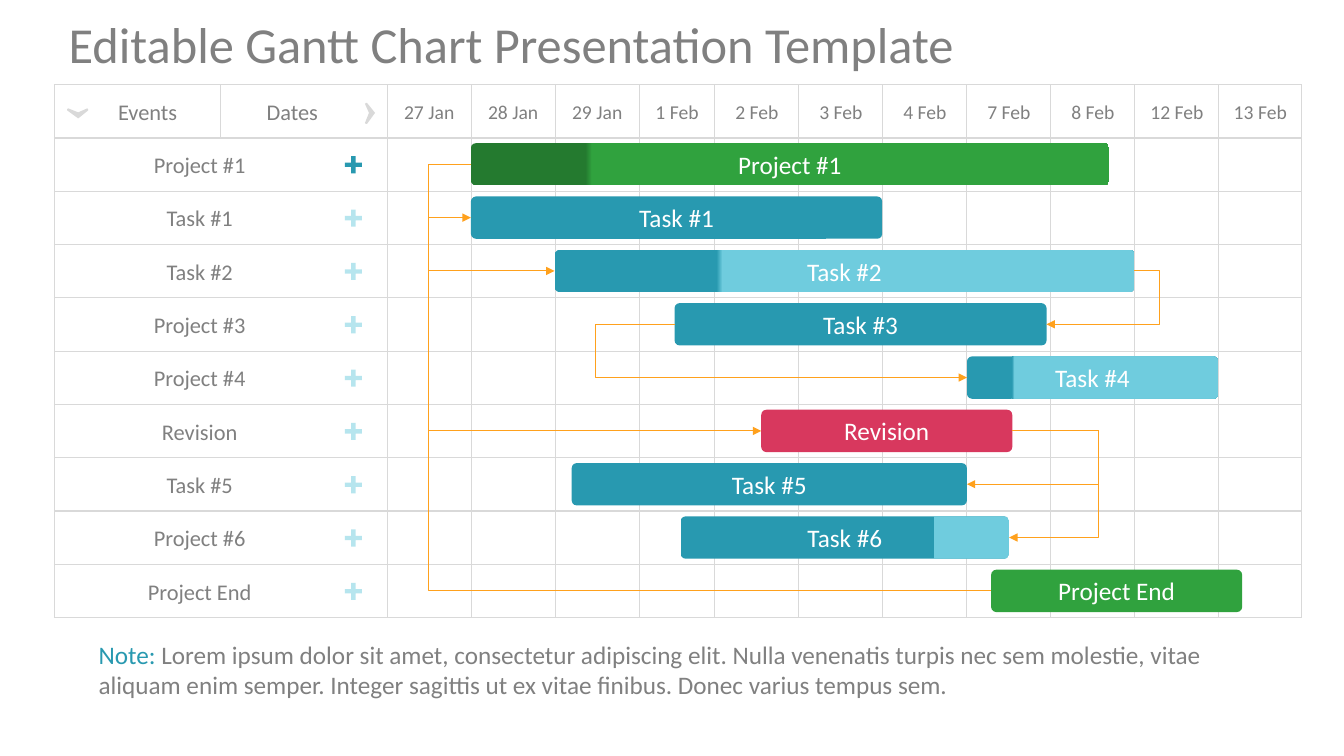
from dataclasses import dataclass
from typing import Optional

from lxml.etree import SubElement
from pptx import Presentation
from pptx.dml.color import RGBColor
from pptx.enum.shapes import MSO_CONNECTOR, MSO_SHAPE
from pptx.enum.text import MSO_ANCHOR, PP_ALIGN
from pptx.oxml.ns import qn
from pptx.util import Inches, Pt

FONT = "Calibri"
GRAY, GRID, WHITE = "808080", "D9D9D9", "FFFFFF"
TEAL, AQUA, GREEN, DARK_GREEN, RED, ORANGE = (
    "2899B0", "6FCCDE", "30A23E", "247A2F", "D8385E", "FFA11D")

TABLE_LEFT, TABLE_TOP, TABLE_HEIGHT = 0.54, 0.84, 5.29
ROW_HEIGHT = TABLE_HEIGHT / 10
DAY_WIDTH = 5 / 6
DATES = ["27 Jan", "28 Jan", "29 Jan", "1 Feb", "2 Feb", "3 Feb",
         "4 Feb", "7 Feb", "8 Feb", "12 Feb", "13 Feb"]
DATE_WIDTHS = [DAY_WIDTH] * 3 + [0.75] + [DAY_WIDTH] * 6 + [0.82]
COLUMN_WIDTHS = [1.65, 1.65] + DATE_WIDTHS
BAR_HEIGHT = 0.42
TRUNK_X = 4.25


@dataclass
class Event:
    name: str
    bar_label: str
    left: float
    width: float
    color: str
    rest_color: Optional[str] = None
    done: float = 1.0
    fade_end: float = 1.0


@dataclass
class Link:
    source: int
    target: int
    side: int  # 1 left, 3 right
    turn_x: float
    arrow: bool = True


EVENTS = [
    Event("Project #1", "Project #1", 4.67, 6.33, DARK_GREEN, GREEN, 0.18, 0.19),
    Event("Task #1", "Task #1", 4.67, 4.08, TEAL),
    Event("Task #2", "Task #2", 5.5, 5.75, TEAL, AQUA, 0.28, 0.29),
    Event("Project #3", "Task #3", 6.69, 3.69, TEAL),
    Event("Project #4", "Task #4", 9.59, 2.49, TEAL, AQUA, 0.18, 0.19),
    Event("Revision", "Revision", 7.55, 2.49, RED),
    Event("Task #5", "Task #5", 5.67, 3.92, TEAL),
    Event("Project #6", "Task #6", 6.75, 3.26, TEAL, AQUA, 0.77, 0.77),
    Event("Project End", "Project End", 9.83, 2.49, GREEN),
]
LINKS = [
    Link(0, 8, 1, TRUNK_X, arrow=False),
    Link(2, 3, 3, 11.5),
    Link(3, 4, 1, 5.91),
    Link(5, 6, 3, 10.9),
    Link(5, 7, 3, 10.9),
]
TRUNK_TARGETS = [1, 2, 5]
CHEVRON = [(10, 10.5), (2, 0), (1, 0), (0, 1), (4, 10.5), (0, 20), (1, 21), (2, 21)]


def rgb(color: str) -> RGBColor:
    return RGBColor.from_string(color)


def style_font(paragraph, size: float, color: Optional[str] = None) -> None:
    paragraph.font.name = FONT
    paragraph.font.size = Pt(size)
    if color:
        paragraph.font.color.rgb = rgb(color)


def paint(shape, color: str) -> None:
    shape.shadow.inherit = False
    shape.fill.solid()
    shape.fill.fore_color.rgb = rgb(color)
    shape.line.fill.background()


def add_text(slide, text: str, left: float, top: float, width: float,
             height: float, size: float, align=PP_ALIGN.CENTER):
    frame = slide.shapes.add_textbox(
        Inches(left), Inches(top), Inches(width), Inches(height)).text_frame
    frame.word_wrap = True
    paragraph = frame.paragraphs[0]
    paragraph.text = text
    paragraph.alignment = align
    style_font(paragraph, size, GRAY)
    return frame


def add_grid(slide) -> None:
    table = slide.shapes.add_table(
        10, len(COLUMN_WIDTHS), Inches(TABLE_LEFT), Inches(TABLE_TOP),
        Inches(sum(COLUMN_WIDTHS)), Inches(TABLE_HEIGHT)).table
    table.first_row = table.horz_banding = False
    for column, width in zip(table.columns, COLUMN_WIDTHS):
        column.width = Inches(width)
    for row_index, row in enumerate(table.rows):
        row.height = Inches(ROW_HEIGHT)
        for cell in row.cells:
            properties = cell._tc.get_or_add_tcPr()
            for side in ("lnL", "lnR", "lnT", "lnB"):
                border = SubElement(properties, qn(f"a:{side}"), w=str(Pt(1)))
                SubElement(SubElement(border, qn("a:solidFill")), qn("a:srgbClr"), val=GRID)
            cell.fill.background()
        if row_index:
            table.cell(row_index, 0).merge(table.cell(row_index, 1))


def add_plus(slide, row: int) -> None:
    plus = slide.shapes.add_shape(
        MSO_SHAPE.CROSS, Inches(3.42), Inches(1.55 + row * ROW_HEIGHT),
        Inches(0.17), Inches(0.17))
    plus.adjustments[0] = 0.375
    paint(plus, AQUA if row else TEAL)
    if row:
        color = plus.element.spPr.find(qn("a:solidFill"))[0]
        SubElement(color, qn("a:alpha"), val="50000")


def add_bar(slide, event: Event, row: int):
    bar = slide.shapes.add_shape(
        MSO_SHAPE.ROUNDED_RECTANGLE, Inches(event.left),
        Inches(1.42 + row * ROW_HEIGHT), Inches(event.width), Inches(BAR_HEIGHT))
    bar.adjustments[0] = 0.12
    paint(bar, event.color)
    if event.rest_color:
        bar.fill.gradient()
        bar.fill.gradient_angle = 0
        stops = zip(bar.fill.gradient_stops, (event.done, event.fade_end),
                    (event.color, event.rest_color))
        for stop, position, color in stops:
            stop.position = position
            stop.color.rgb = rgb(color)
    bar.text_frame.vertical_anchor = MSO_ANCHOR.MIDDLE
    paragraph = bar.text_frame.paragraphs[0]
    paragraph.text = event.bar_label
    paragraph.alignment = PP_ALIGN.CENTER
    style_font(paragraph, 18, WHITE)
    return bar


def add_chevron(slide, left: float, top: float, rotation: float) -> None:
    builder = slide.shapes.build_freeform(*CHEVRON[0], scale=Inches(0.01))
    builder.add_line_segments(CHEVRON[1:], close=True)
    chevron = builder.convert_to_shape(Inches(left), Inches(top))
    chevron.rotation = rotation
    paint(chevron, GRID)


def style_connector(connector, arrow: bool) -> None:
    connector.line.color.rgb = rgb(ORANGE)
    connector.line.width = Pt(0.75)
    if arrow:
        SubElement(connector.line._get_or_add_ln(), qn("a:tailEnd"), type="triangle")
    SubElement(connector.element.spPr, qn("a:effectLst"))


def add_branch(slide, bar) -> None:
    middle = bar.top + bar.height // 2
    connector = slide.shapes.add_connector(
        MSO_CONNECTOR.STRAIGHT, Inches(TRUNK_X), middle, bar.left, middle)
    connector.end_connect(bar, 1)
    style_connector(connector, True)


def add_elbow(slide, link: Link, bars: list) -> None:
    connector = slide.shapes.add_connector(MSO_CONNECTOR.ELBOW, 0, 0, 0, 0)
    connector.begin_connect(bars[link.source], link.side)
    connector.end_connect(bars[link.target], link.side)
    start, end = connector.begin_x, connector.end_x
    bend = round((Inches(link.turn_x) - start) / (end - start) * 100000)
    guides = connector.element.spPr.find(qn("a:prstGeom")).find(qn("a:avLst"))
    SubElement(guides, qn("a:gd"), name="adj1", fmla=f"val {bend}")
    style_connector(connector, link.arrow)


def main() -> None:
    presentation = Presentation()
    presentation.slide_width, presentation.slide_height = Inches(13.33), Inches(7.5)
    slide = presentation.slides.add_slide(presentation.slide_layouts[6])

    # Title
    title = add_text(slide, "Editable Gantt Chart Presentation Template",
                     0.55, 0.04, 12, 0.78, 36, PP_ALIGN.LEFT)
    title.vertical_anchor = MSO_ANCHOR.MIDDLE
    title.margin_left = title.margin_right = Inches(0.13)
    title.margin_top = title.margin_bottom = Inches(0.07)

    # Grid and header
    add_grid(slide)
    add_text(slide, "Events", 0.75, 0.92, 1.43, 0.37, 16)
    add_text(slide, "Dates", 2.18, 0.92, 1.44, 0.37, 16)
    add_chevron(slide, 3.62, 1.02, 0)
    add_chevron(slide, 0.72, 1.02, 90)
    for index, date in enumerate(DATES):
        left = TABLE_LEFT + sum(COLUMN_WIDTHS[:index + 2])
        add_text(slide, date, left, 0.94, DATE_WIDTHS[index], 0.34, 14)

    # Event rows
    bars = []
    for row, event in enumerate(EVENTS):
        add_plus(slide, row)
        add_text(slide, event.name, TABLE_LEFT, 1.45 + row * ROW_HEIGHT, 2.88, 0.37, 16)
        bars.append(add_bar(slide, event, row))

    # Dependencies
    for link in LINKS:
        add_elbow(slide, link, bars)
    for target in TRUNK_TARGETS:
        add_branch(slide, bars[target])

    # Note
    note = add_text(slide, "", 0.88, 6.29, 11.87, 0.71, 18, PP_ALIGN.LEFT).paragraphs[0]
    for text, color in (
            ("Note: ", TEAL),
            ("Lorem ipsum dolor sit amet, consectetur adipiscing elit. Nulla venenatis turpis "
             "nec sem molestie, vitae aliquam enim semper. Integer sagittis ut ex vitae "
             "finibus. Donec varius tempus sem.", GRAY)):
        run = note.add_run()
        run.text = text
        run.font.color.rgb = rgb(color)

    presentation.save("out.pptx")


if __name__ == "__main__":
    main()
